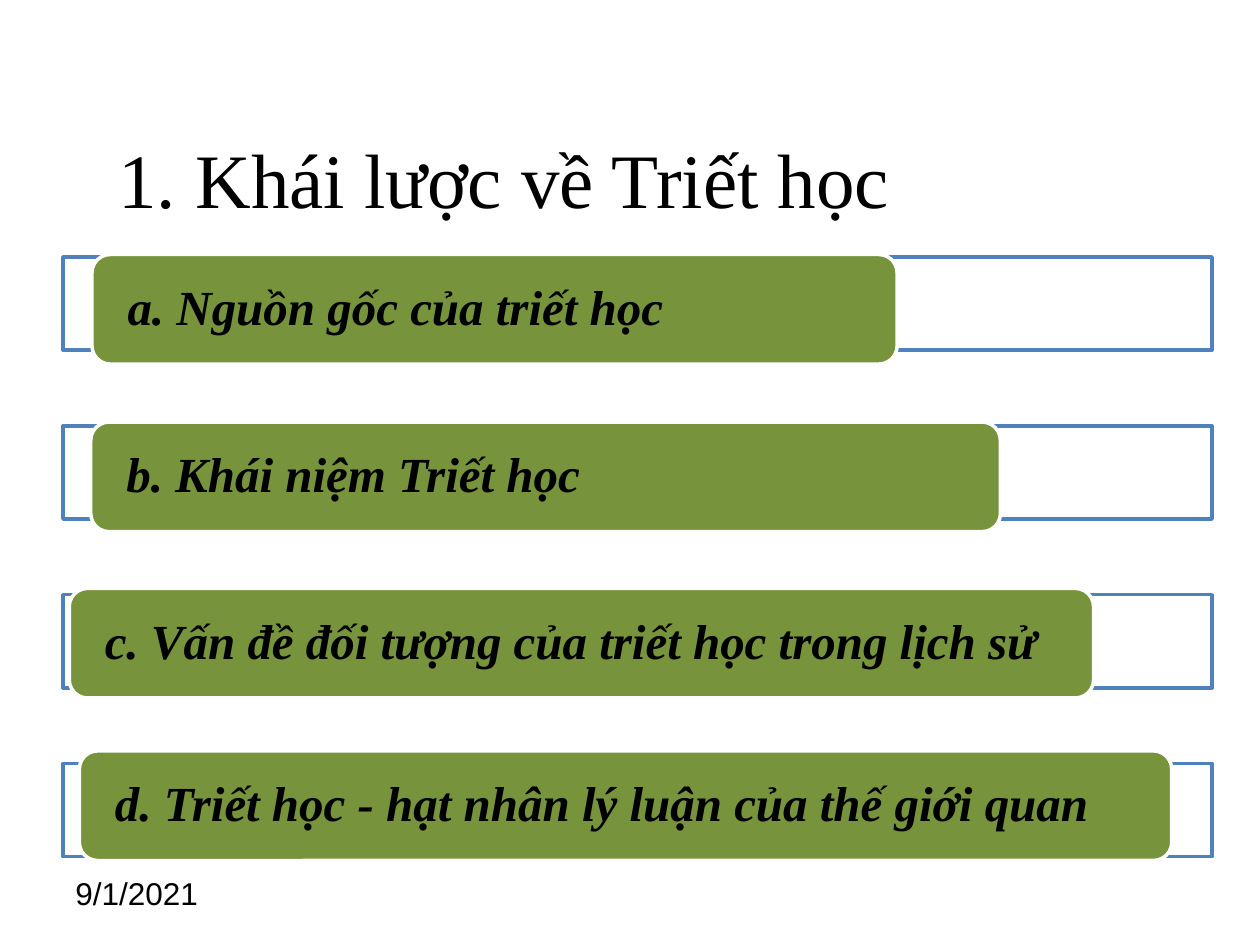
from dataclasses import dataclass

from lxml.etree import SubElement
from pptx import Presentation
from pptx.dml.color import RGBColor
from pptx.enum.shapes import MSO_SHAPE as Preset
from pptx.enum.text import MSO_ANCHOR as Anchor, PP_ALIGN as Align
from pptx.oxml.ns import qn
from pptx.shapes.autoshape import Shape
from pptx.slide import Slide
from pptx.util import Inches, Pt


@dataclass(frozen=True)
class Theme:
    ink: RGBColor = RGBColor.from_string("000000")
    paper: RGBColor = RGBColor.from_string("FFFFFF")
    frame: RGBColor = RGBColor.from_string("4F81BD")
    label: RGBColor = RGBColor.from_string("77933C")
    serif: str = "Times New Roman"
    sans: str = "Arial"
    title_size: int = 44
    topic_size: int = 28
    date_size: int = 18
    line_width: int = 2


@dataclass(frozen=True)
class Grid:
    left: float = 0.5
    top: float = 2.04
    width: float = 9.12
    pitch: float = 1.34
    frame_height: float = 0.74
    label_height: float = 0.87

    def row_top(self, row: int) -> float:
        return self.top + row * self.pitch


@dataclass(frozen=True)
class Topic:
    text: str
    indent: float
    rise: float
    width: float


THEME = Theme()
GRID = Grid()
TOPICS = (
    Topic("a. Nguồn gốc của triết học", 0.23, 0.02, 6.39),
    Topic("b. Khái niệm Triết học", 0.22, 0.03, 7.22),
    Topic("c. Vấn đề đối tượng của triết học trong lịch sử", 0.05, 0.05, 8.13),
    Topic("d. Triết học - hạt nhân lý luận của thế giới quan", 0.13, 0.1, 8.67),
)


def apply(target: object, values: dict[str, object]) -> None:
    for name, value in values.items():
        setattr(target, name, value)


def write(holder: Shape, text: str, size: int, face: str, side: float, edge: float,
          spacing: float = 1.0, emphasis: bool = False) -> None:
    frame = holder.text_frame
    frame.text = text
    apply(frame, {
        "word_wrap": True,
        "vertical_anchor": Anchor.MIDDLE,
        "margin_left": Inches(side),
        "margin_right": Inches(side),
        "margin_top": Inches(edge),
        "margin_bottom": Inches(edge),
    })
    paragraph = frame.paragraphs[0]
    apply(paragraph, {"alignment": Align.LEFT, "line_spacing": spacing})
    font = paragraph.runs[0].font
    apply(font, {"name": face, "size": Pt(size), "bold": emphasis, "italic": emphasis})
    font.color.rgb = THEME.ink


def add_panel(slide: Slide, preset: Preset, box: tuple[float, ...],
              fill: RGBColor, line: RGBColor) -> Shape:
    panel = slide.shapes.add_shape(preset, *map(Inches, box))
    panel.shadow.inherit = False
    panel.fill.solid()
    panel.fill.fore_color.rgb = fill
    panel.line.color.rgb = line
    panel.line.width = Pt(THEME.line_width)
    return panel


def add_topic(slide: Slide, row: int, topic: Topic) -> None:
    top = GRID.row_top(row)
    frame = add_panel(slide, Preset.RECTANGLE, (GRID.left, top, GRID.width, GRID.frame_height),
                      THEME.paper, THEME.frame)
    fill_color = frame.fill._xPr.find(qn("a:solidFill"))[0]
    SubElement(fill_color, qn("a:alpha"), val="90000")
    label = add_panel(slide, Preset.ROUNDED_RECTANGLE,
                      (GRID.left + topic.indent, top - topic.rise, topic.width, GRID.label_height),
                      THEME.label, THEME.paper)
    write(label, topic.text, THEME.topic_size, THEME.serif, 0.24, 0, 0.9, True)


def main() -> None:
    deck = Presentation()
    apply(deck, {"slide_width": Inches(10), "slide_height": Inches(7.5)})
    slide = deck.slides.add_slide(deck.slide_layouts[5])

    title = slide.shapes.title
    apply(title, {"left": Inches(0.84), "top": Inches(0.59),
                  "width": Inches(7.97), "height": Inches(1.74)})
    write(title, "1. Khái lược về Triết học", THEME.title_size, THEME.serif, 0.1, 0.05, 0.9)

    date = slide.shapes.add_textbox(*map(Inches, (GRID.left, 6.83, 2.33, 0.52)))
    write(date, "9/1/2021", THEME.date_size, THEME.sans, 0.1, 0.05)

    for row, topic in enumerate(TOPICS):
        add_topic(slide, row, topic)

    deck.save("out.pptx")


if __name__ == "__main__":
    main()
